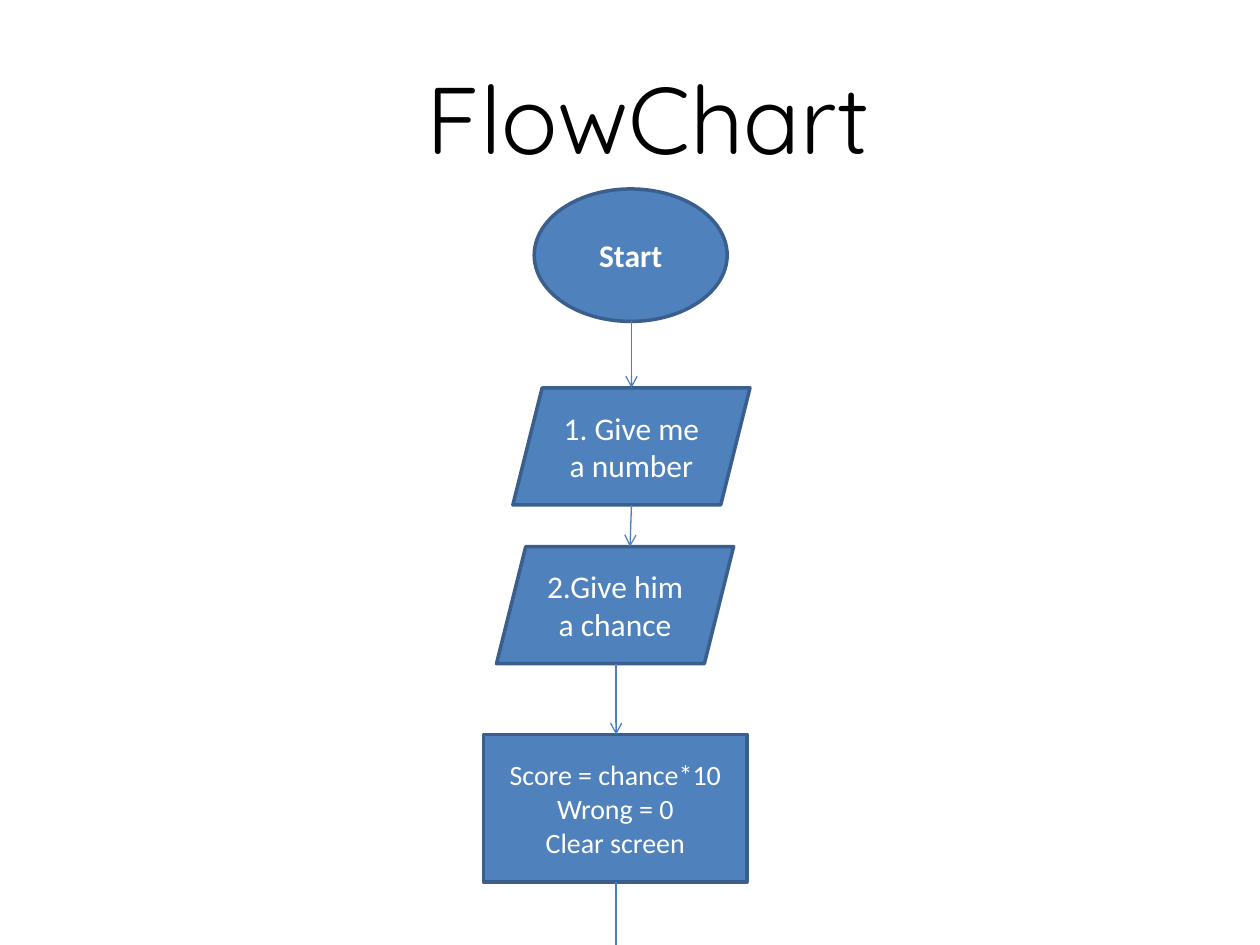
"""Build the opening slide of a guessing-game flow chart."""
from dataclasses import dataclass
from typing import Any

from lxml.etree import SubElement
from pptx import Presentation
from pptx.dml.color import RGBColor
from pptx.enum.shapes import MSO_CONNECTOR, MSO_SHAPE
from pptx.enum.text import MSO_ANCHOR, PP_ALIGN
from pptx.oxml.ns import qn
from pptx.util import Cm, Pt

FILL, EDGE, LINK = "4F81BD", "3A5F8C", "4B7EBC"
LABEL = {"name": "Calibri", "size": Pt(18), "bold": False}
TITLE = {"name": "Quicksand", "size": Pt(54), "bold": False}


@dataclass
class Step:
    kind: MSO_SHAPE
    left: float
    top: float
    width: float
    height: float
    text: str
    font: dict


@dataclass
class Link:
    start: tuple
    end: tuple
    arrow: bool = True


STEPS = [
    Step(MSO_SHAPE.OVAL, 10.77, 3.81, 3.89, 2.67, "Start", {"bold": True}),
    Step(MSO_SHAPE.PARALLELOGRAM, 10.34, 7.82, 4.78, 2.36,
         "1. Give me a number", {}),
    Step(MSO_SHAPE.PARALLELOGRAM, 10.01, 11.02, 4.78, 2.36,
         "2.Give him a chance", {}),
    Step(MSO_SHAPE.RECTANGLE, 9.75, 14.81, 5.31, 2.97,
         "Score = chance*10\nWrong = 0\nClear screen", {"size": Pt(16)}),
]
LINKS = [
    Link((12.73, 6.48), (12.73, 7.82)),
    Link((12.73, 10.18), (12.7, 11.02)),
    Link((12.42, 13.38), (12.42, 14.81)),
    Link((12.42, 17.78), (12.42, 19.05), False),
]


def paint(part: Any, tint: str) -> None:
    part.rgb = RGBColor.from_string(tint)


def write(frame: Any, text: str, form: dict, tint: str) -> None:
    frame.text = text
    frame.word_wrap = True
    frame.vertical_anchor = MSO_ANCHOR.MIDDLE
    for para in frame.paragraphs:
        para.alignment = PP_ALIGN.CENTER
        font = para.runs[0].font
        for key, value in form.items():
            setattr(font, key, value)
        paint(font.color, tint)


def draw_step(slide: Any, step: Step) -> None:
    box = slide.shapes.add_shape(
        step.kind, Cm(step.left), Cm(step.top), Cm(step.width), Cm(step.height))
    box.shadow.inherit = False
    box.fill.solid()
    paint(box.fill.fore_color, FILL)
    paint(box.line.color, EDGE)
    box.line.width = Pt(2)
    write(box.text_frame, step.text, LABEL | step.font, "FFFFFF")


def draw_link(slide: Any, link: Link) -> None:
    ends = [Cm(n) for n in link.start + link.end]
    wire = slide.shapes.add_connector(MSO_CONNECTOR.STRAIGHT, *ends)
    paint(wire.line.color, LINK)
    wire.line.width = Pt(0.75)
    if link.arrow:
        SubElement(wire.line._get_or_add_ln(), qn("a:tailEnd"), type="arrow")
    SubElement(wire._element.spPr, qn("a:effectLst"))


def main() -> None:
    deck = Presentation()
    deck.slide_width, deck.slide_height = Cm(25.4), Cm(19.05)
    slide = deck.slides.add_slide(deck.slide_layouts[5])
    title = slide.shapes.title
    place = {"left": 2.11, "top": 0.76, "width": 22.43, "height": 3.18}
    for key, value in place.items():
        setattr(title, key, Cm(value))
    write(title.text_frame, "FlowChart ", TITLE, "000000")
    for step in STEPS:
        draw_step(slide, step)
    for link in LINKS:
        draw_link(slide, link)
    deck.save("out.pptx")


if __name__ == "__main__":
    main()
